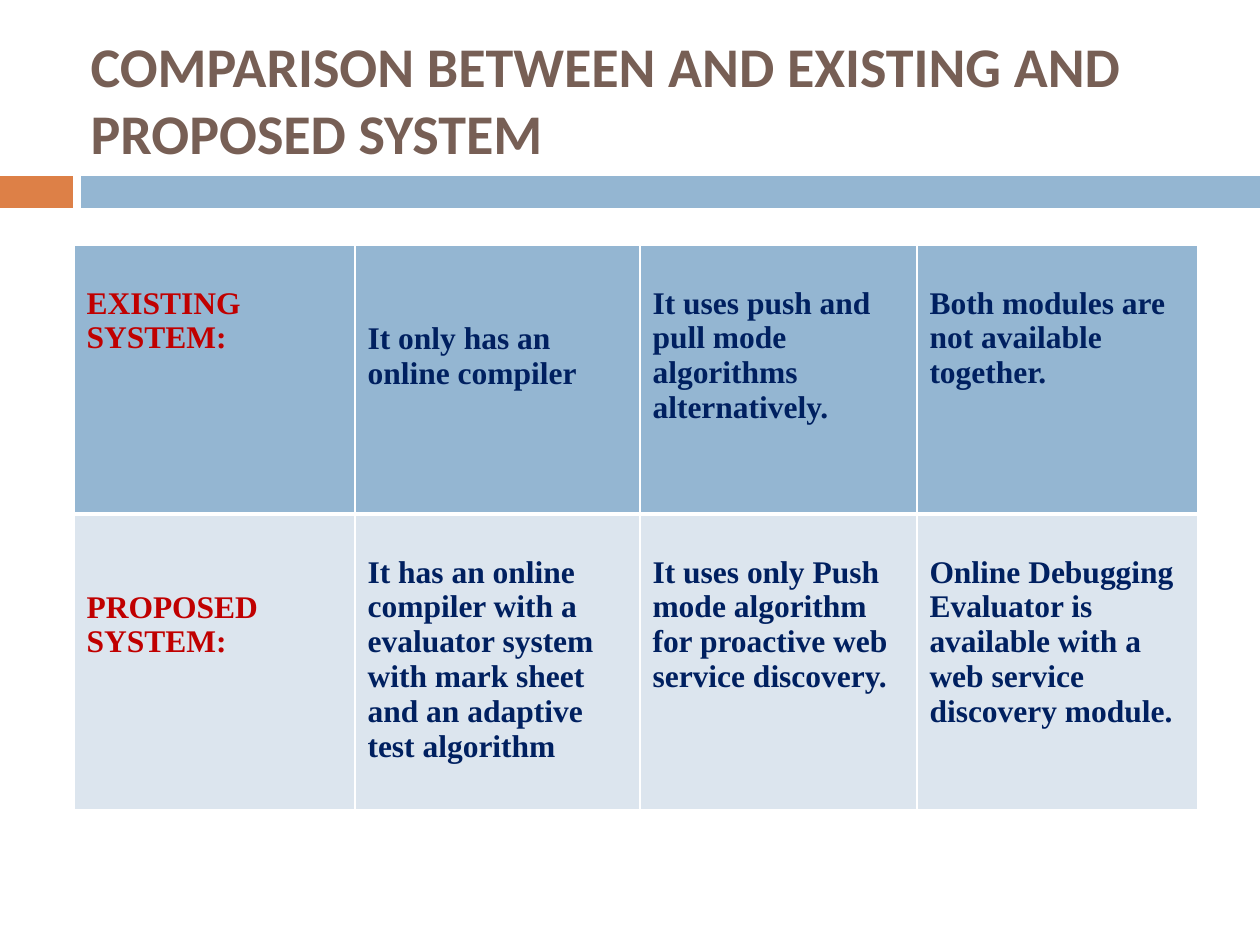
from lxml import etree
from pptx import Presentation
from pptx import util as u
from pptx.dml.color import RGBColor
from pptx.enum import shapes, text
from pptx.oxml import ns

PX = 914400 / 126
ORANGE = RGBColor(0xDD, 0x80, 0x47)
BLUE = RGBColor(0x94, 0xB6, 0xD2)
PALE_BLUE = RGBColor(0xDC, 0xE5, 0xEE)
BROWN = RGBColor(0x77, 0x5F, 0x55)
RED = RGBColor(0xC0, 0x00, 0x00)
NAVY = RGBColor(0x00, 0x20, 0x60)
WHITE = RGBColor(0xFF, 0xFF, 0xFF)

COLUMN_WIDTHS = [281, 285, 277, 281]
LINE_HEIGHT = 35
CELL_INSET = 6

# Each row: height, fill, bottom border in points, cells as (text, lines left free above)
ROWS = [
    (269, BLUE, 3, [
        ("EXISTING SYSTEM:", 1),
        ("It only has an online compiler", 2),
        ("It uses push and pull mode algorithms alternatively.", 1),
        ("Both modules are not available together.", 1),
    ]),
    (296, PALE_BLUE, 1, [
        ("PROPOSED SYSTEM:", 2),
        ("It has an online compiler with a evaluator system with mark sheet "
         "and an adaptive test algorithm", 1),
        ("It uses only Push mode algorithm for proactive web service discovery.", 1),
        ("Online Debugging Evaluator is available with a web service "
         "discovery module.", 1),
    ]),
]


def px(length):
    return u.Emu(round(length * PX))


def write_text(frame, words, *, font, size, color, bold=True):
    para = frame.paragraphs[0]
    para.alignment = text.PP_ALIGN.LEFT
    span = para.add_run()
    span.text = words
    span.font.name = font
    span.font.size = u.Pt(size)
    span.font.bold = bold
    span.font.color.rgb = color


def add_bar(page, left, top, width, height, color):
    bar = page.shapes.add_shape(shapes.MSO_SHAPE.RECTANGLE,
                                px(left), px(top), px(width), px(height))
    bar.shadow.inherit = False
    bar.fill.solid()
    bar.fill.fore_color.rgb = color
    bar.line.fill.background()


def add_divider(page, left, top, width, height):
    accent, gap = 73, 8
    rest = accent + gap
    add_bar(page, left, top, accent, height, ORANGE)
    add_bar(page, left + rest, top, width - rest, height, BLUE)


def place_title(page, left, top, width, height):
    title = page.shapes.title
    title.left, title.top = px(left), px(top)
    title.width, title.height = px(width), px(height)
    frame = title.text_frame
    frame.word_wrap = True
    frame.auto_size = text.MSO_AUTO_SIZE.NONE
    frame.vertical_anchor = text.MSO_ANCHOR.MIDDLE
    write_text(frame, "COMPARISON BETWEEN AND EXISTING AND PROPOSED SYSTEM",
               font="Calibri", size=32, color=BROWN)


def set_borders(cell, **widths):
    """Draw white borders; widths are points keyed by side, in schema order."""
    properties = cell._tc.get_or_add_tcPr()
    for position, (side, width) in enumerate(widths.items()):
        line = etree.Element(ns.qn(f"a:ln{side}"), w=str(u.Pt(width)))
        fill = etree.SubElement(line, ns.qn("a:solidFill"))
        etree.SubElement(fill, ns.qn("a:srgbClr"), val=str(WHITE))
        properties.insert(position, line)


def add_comparison(page, left, top):
    width = sum(COLUMN_WIDTHS)
    height = sum(row[0] for row in ROWS)
    table = page.shapes.add_table(len(ROWS), len(COLUMN_WIDTHS), px(left), px(top),
                                  px(width), px(height)).table
    for column, column_width in zip(table.columns, COLUMN_WIDTHS):
        column.width = px(column_width)
    for row, (row_height, color, bottom, entries) in zip(table.rows, ROWS):
        row.height = px(row_height)
        for index, (cell, (words, free_lines)) in enumerate(zip(row.cells, entries)):
            cell.fill.solid()
            cell.fill.fore_color.rgb = color
            cell.margin_top = px(CELL_INSET + free_lines * LINE_HEIGHT)
            set_borders(cell, L=1, R=1, T=1, B=bottom)
            write_text(cell.text_frame, words, font="Times New Roman", size=18,
                       color=NAVY if index else RED)
    # The shared edge between the rows is drawn once, by the upper row's width
    for cell in table.rows[1].cells:
        top_line = cell._tc.tcPr.find(ns.qn("a:lnT"))
        top_line.set("w", str(u.Pt(ROWS[0][2])))


def main():
    deck = Presentation()
    deck.slide_width, deck.slide_height = px(1260), px(945)
    page = deck.slides.add_slide(deck.slide_layouts.get_by_name("Title Only"))
    add_divider(page, 0, 176, 1260, 32)
    place_title(page, 78, -59, 1129, 315)
    add_comparison(page, 74, 245)
    deck.save("out.pptx")


if __name__ == "__main__":
    main()
